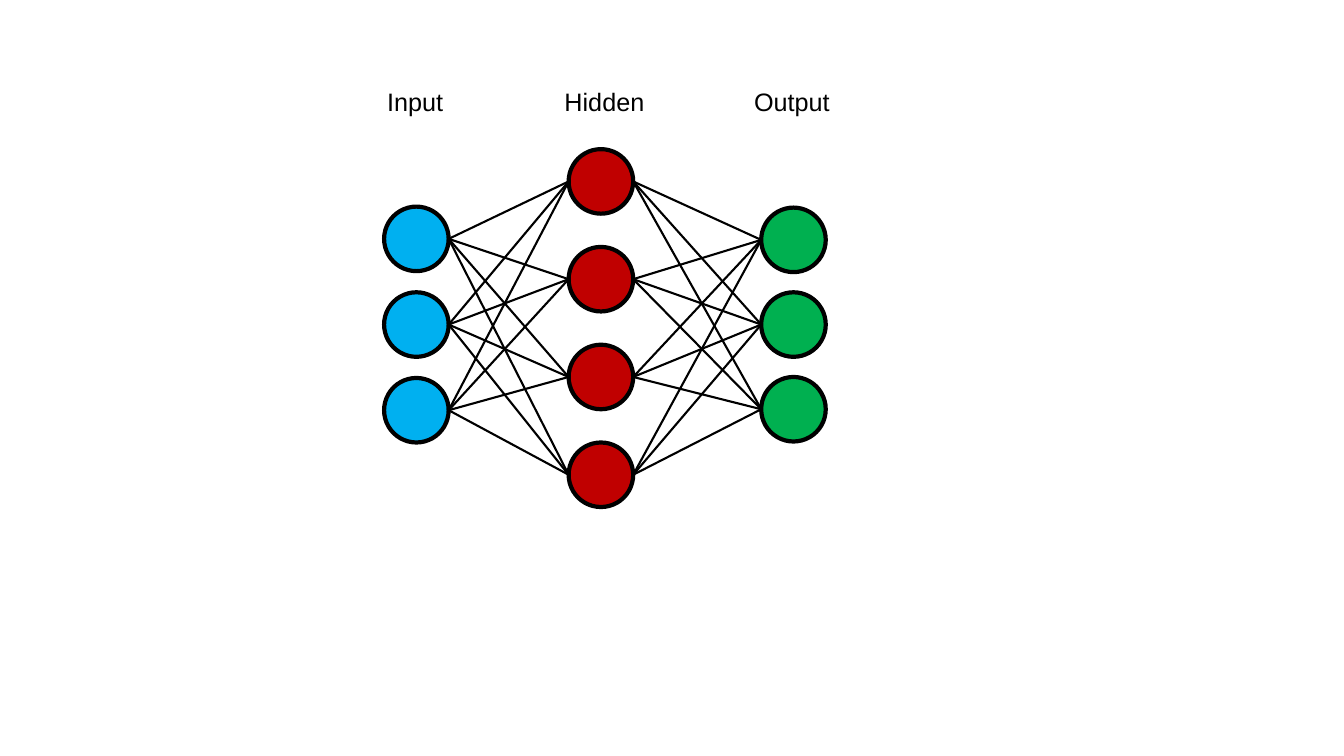
from dataclasses import dataclass
from itertools import pairwise, product

from lxml import etree
from pptx import Presentation
from pptx.dml.color import RGBColor as RGB
from pptx.enum.shapes import MSO_CONNECTOR as Connector, MSO_SHAPE as Shape
from pptx.enum.text import MSO_AUTO_SIZE as AutoSize
from pptx.oxml.ns import qn
from pptx.util import Inches, Pt


@dataclass(frozen=True)
class Theme:
    """Colours, type and line sizes of the slide."""
    ink: RGB = RGB(0x00, 0x00, 0x00)
    input: RGB = RGB(0x00, 0xB0, 0xF0)
    hidden: RGB = RGB(0xC0, 0x00, 0x00)
    output: RGB = RGB(0x00, 0xB0, 0x50)
    font: str = "Arial"
    label: Pt = Pt(18)
    outline: Pt = Pt(3)
    edge: Pt = Pt(1.5)


@dataclass(frozen=True)
class Layer:
    """A column of nodes, placed relative to the network's box."""
    name: str
    fill: RGB
    count: int
    x: float
    y: float
    pitch: float
    label_x: float
    label_w: float


THEME = Theme()
NODE = 0.64
LABEL_H = 0.4
NETWORK_BOX = (3.74, 0.81)
LAYERS = (
    Layer("Input", THEME.input, 3, 0.07, 1.24, 0.85, 0, 0.78),
    Layer("Hidden", THEME.hidden, 4, 1.9, 0.67, 0.97, 1.76, 0.99),
    Layer("Output", THEME.output, 3, 3.81, 1.25, 0.84, 3.64, 0.99),
)


def add_label(slide, text, x, y, w):
    """Add a layer's name above its column."""
    box = slide.shapes.add_textbox(*map(Inches, (x, y, w, LABEL_H)))
    tf = box.text_frame
    tf.word_wrap = True
    tf.auto_size = AutoSize.SHAPE_TO_FIT_TEXT
    r = tf.paragraphs[0].add_run()
    r.text = text
    r.font.name, r.font.size = THEME.font, THEME.label
    r.font.color.rgb = THEME.ink


def add_node(slide, x, y, fill):
    """Add one outlined circle."""
    sp = slide.shapes.add_shape(Shape.OVAL, *map(Inches, (x, y, NODE, NODE)))
    sp.shadow.inherit = False
    sp.fill.solid()
    sp.fill.fore_color.rgb = fill
    sp.line.color.rgb = THEME.ink
    sp.line.width = THEME.outline
    return sp


def add_edge(slide, source, target):
    """Join the right side of one node to the left side of the next."""
    line = slide.shapes.add_connector(
        Connector.STRAIGHT,
        source.left + source.width, source.top + source.height // 2,
        target.left, target.top + target.height // 2)
    line.line.color.rgb = THEME.ink
    line.line.width = THEME.edge
    etree.SubElement(line._element.spPr, qn("a:effectLst"))


def add_layer(slide, layer, left, top):
    """Add a label with its column of nodes and return the nodes."""
    add_label(slide, layer.name, left + layer.label_x, top, layer.label_w)
    return [add_node(slide, left + layer.x, top + layer.y + i * layer.pitch, layer.fill)
            for i in range(layer.count)]


def add_network(slide, left, top):
    """Add all layers and connect each to the next."""
    columns = [add_layer(slide, layer, left, top) for layer in LAYERS]
    for sources, targets in pairwise(columns):
        for source, target in product(sources, targets):
            add_edge(slide, source, target)


def main():
    """Build the slide and save it."""
    prs = Presentation()
    prs.slide_width, prs.slide_height = Inches(13.33), Inches(7.5)
    slide = prs.slides.add_slide(prs.slide_layouts[6])
    add_network(slide, *NETWORK_BOX)
    prs.save("out.pptx")


if __name__ == "__main__":
    main()
